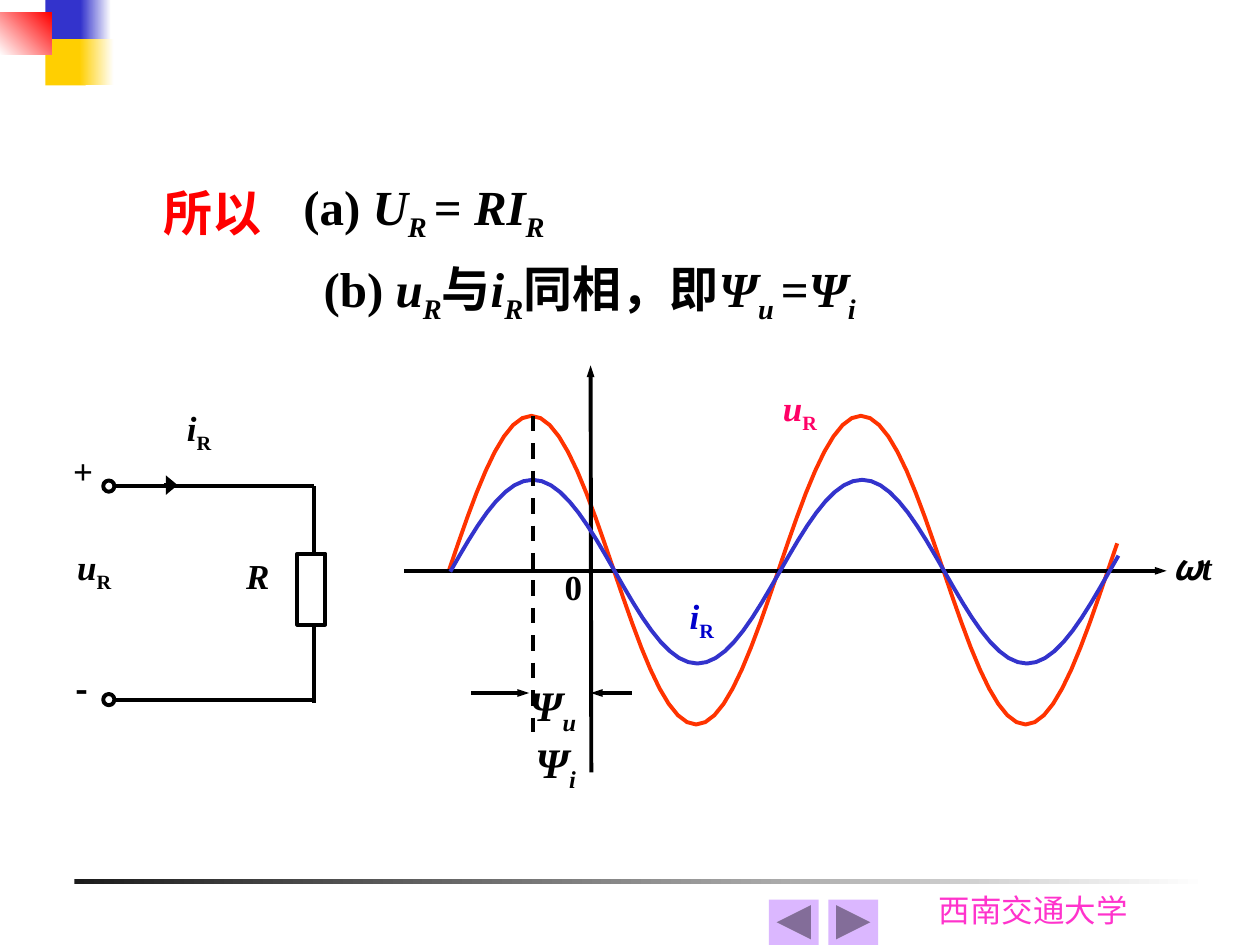
import math
from dataclasses import dataclass

from lxml import etree
from pptx import Presentation
from pptx import util as u
from pptx.dml.color import RGBColor
from pptx.enum import dml, shapes, text
from pptx.oxml import ns


@dataclass(frozen=True)
class Theme:
    black: str = "000000"
    white: str = "FFFFFF"
    charcoal: str = "1C1C1C"
    blue: str = "3333CC"
    yellow: str = "FFCF01"
    red: str = "FF0000"
    voltage: str = "FF3300"
    voltage_label: str = "FF0066"
    current_label: str = "0000CC"
    footer: str = "FF33CC"
    button: str = "DBB7FF"
    serif: str = "Times New Roman"
    sans: str = "Lato"
    chinese: str = "Noto Sans CJK SC"
    statement: int = 28
    phase: int = 24
    label: int = 20
    small: int = 18
    stroke: float = 2.25


THEME = Theme()
SHAPE = shapes.MSO_SHAPE
ALIGN = text.PP_ALIGN
ANCHOR = text.MSO_ANCHOR


def rgb(value):
    return RGBColor.from_string(value)


def points(values):
    return [u.Pt(value) for value in values]


def add_text(slide, box, *paragraphs, size=THEME.label, color=THEME.black,
             font=THEME.serif, bold=True, align=ALIGN.CENTER,
             anchor=ANCHOR.TOP, insets=(0.72, 0.72), wrap=True):
    frame = slide.shapes.add_textbox(*points(box)).text_frame
    frame.word_wrap = wrap
    frame.vertical_anchor = anchor
    frame.margin_left = frame.margin_right = u.Pt(insets[0])
    frame.margin_top = frame.margin_bottom = u.Pt(insets[1])
    for index, runs in enumerate(paragraphs):
        paragraph = frame.add_paragraph() if index else frame.paragraphs[0]
        paragraph.alignment = align
        for content, style, *own_font in runs:
            run = paragraph.add_run()
            run.text = content
            run.font.size = u.Pt(size)
            run.font.bold = bold
            run.font.italic = "italic" in style
            run.font.color.rgb = rgb(color)
            run.font.name = own_font[0] if own_font else font
            properties = run.font._element
            etree.SubElement(properties, ns.qn("a:ea"), typeface=THEME.chinese)
            if "sub" in style:
                properties.set("baseline", "-25000")


def add_statement(slide, box, *runs, **options):
    add_text(slide, box, runs, size=THEME.statement, anchor=ANCHOR.MIDDLE,
             insets=(7.2, 3.6), **options)


def add_shape(slide, kind, box, fill, fade_to=None, angle=0, line=None):
    shape = slide.shapes.add_shape(kind, *points(box))
    shape.shadow.inherit = False
    if fade_to:
        shape.fill.gradient()
        shape.fill.gradient_angle = angle
        for stop, color in zip(shape.fill.gradient_stops, (fill, fade_to)):
            stop.color.rgb = rgb(color)
    else:
        shape.fill.solid()
        shape.fill.fore_color.rgb = rgb(fill)
    if line:
        shape.line.color.rgb = rgb(line)
        shape.line.width = u.Pt(THEME.stroke)
    else:
        shape.line.fill.background()


def add_line(slide, start, end, arrow=None, arrow_width="sm", dashed=False):
    connector = slide.shapes.add_connector(
        shapes.MSO_CONNECTOR.STRAIGHT, *points(start + end))
    connector.line.color.rgb = rgb(THEME.black)
    connector.line.width = u.Pt(THEME.stroke)
    if dashed:
        connector.line.dash_style = dml.MSO_LINE.DASH
    if arrow:
        etree.SubElement(connector.line._get_or_add_ln(), ns.qn(f"a:{arrow}"),
                         type="triangle", w=arrow_width, len="med")
    etree.SubElement(connector._element.spPr, ns.qn("a:effectLst"))


def add_sine(slide, left, middle, amplitude, color):
    step = 5.23
    curve = [points((left + step * index,
                     middle - amplitude * math.sin(math.radians(10 * index))))
             for index in range(74)]
    builder = slide.shapes.build_freeform(*curve[0])
    builder.add_line_segments(curve[1:], close=False)
    shape = builder.convert_to_shape()
    shape.shadow.inherit = False
    shape.fill.background()
    shape.line.color.rgb = rgb(color)
    shape.line.width = u.Pt(THEME.stroke)


def add_decoration(slide):
    rectangle = SHAPE.RECTANGLE
    add_shape(slide, rectangle, (42.5, 502.5, 648, 2.5), THEME.charcoal, THEME.white)
    for top, color, left, width in ((0, THEME.blue, 46, 17.5),
                                    (22.3, THEME.yellow, 45.5, 19.5)):
        add_shape(slide, rectangle, (26, top, 23, 26.5), color)
        add_shape(slide, rectangle, (left, top, width, 26.5), color, THEME.white)
    add_shape(slide, rectangle, (0, 7.4, 29.5, 24), THEME.white, THEME.red, 45)
    add_text(slide, (529.2, 505.4, 130.3, 28.8), [("西南交通大学", "")],
             size=THEME.small, color=THEME.footer, font=THEME.sans, bold=False,
             align=ALIGN.LEFT, insets=(7.2, 3.6))
    for left, kind in ((439.4, SHAPE.ACTION_BUTTON_BACK_OR_PREVIOUS),
                       (473.4, SHAPE.ACTION_BUTTON_FORWARD_OR_NEXT)):
        add_shape(slide, kind, (left, 514, 28.4, 26), THEME.button)


def add_statements(slide):
    add_statement(slide, (76.3, 100.8, 90.7, 41), ("所以", ""), color=THEME.red)
    add_statement(slide, (139, 144, 396, 45.4),
                  ("(b) ", ""), ("u", "italic"), ("R", "italic sub"), ("与", ""),
                  ("i", "italic"), ("R", "italic sub"), ("同相，即", ""),
                  ("Ψ", "italic"), ("u ", "italic sub"), ("=", ""),
                  ("Ψ", "italic"), ("i", "italic sub"))
    add_statement(slide, (162.7, 97.2, 159.1, 45.4),
                  ("(a) ", ""), ("U", "italic"), ("R ", "italic sub"), ("= ", ""),
                  ("RI", "italic"), ("R", "italic sub"), wrap=False)


def add_circuit(slide):
    top, bottom, right = 277.8, 399.8, 179.2
    for wire in (top, bottom):
        add_line(slide, (65, wire), (right, wire))
        add_shape(slide, SHAPE.OVAL, (59, wire - 3.2, 6.4, 6.4), THEME.white,
                  line=THEME.black)
    add_line(slide, (right, top), (right, 401.8))
    add_line(slide, (93.6, 277.2), (101.5, 277.2), "tailEnd", "lg")
    add_shape(slide, SHAPE.RECTANGLE, (170, 316.4, 16, 40.5), THEME.white,
              line=THEME.black)
    add_text(slide, (23.8, 256.3, 47.5, 46.8), [("+", "")])
    add_text(slide, (43.2, 381.6, 25.9, 38.2), [("-", "")], font=THEME.chinese,
             align=ALIGN.JUSTIFY, insets=(0, 0))
    add_text(slide, (131.8, 316.1, 31, 44.6), [("R", "italic")])


def add_waveforms(slide):
    add_sine(slide, 256.6, 325.8, 88.2, THEME.voltage)
    add_line(slide, (231.1, 326.2), (666.7, 326.2), "tailEnd")
    add_line(slide, (337.5, 208.8), (337.9, 441.4), "headEnd")
    add_line(slide, (269.3, 396), (302.4, 396), "tailEnd")
    add_line(slide, (337.7, 396), (361.4, 396), "headEnd")
    add_sine(slide, 257.3, 326.7, 52.5, THEME.blue)
    add_line(slide, (304.6, 237.6), (304.6, 418.3), dashed=True)
    add_text(slide, (303.1, 322.6, 49, 41.8), [("0", "")])
    add_text(slide, (657.4, 311, 47.5, 41.8),
             [("ω", "italic", THEME.chinese), ("t", "italic")])
    add_text(slide, (275, 384.5, 85, 72.7),
             [("Ψ", "italic"), ("u ", "italic sub")],
             [("Ψ", "italic"), ("i", "italic sub")],
             size=THEME.phase, insets=(7.2, 3.6))


def add_quantity_labels(slide):
    for name, left, top, color in (("u", 30.2, 311, THEME.black),
                                   ("i", 90, 231.8, THEME.black),
                                   ("u", 433.4, 220.3, THEME.voltage_label),
                                   ("i", 377.3, 339.1, THEME.current_label)):
        add_text(slide, (left, top, 47.5, 54), [(name, "italic"), ("R", "sub")],
                 color=color)


def main():
    presentation = Presentation()
    presentation.slide_width, presentation.slide_height = u.Pt(720), u.Pt(540)
    slide = presentation.slides.add_slide(presentation.slide_layouts[6])
    add_decoration(slide)
    add_circuit(slide)
    add_waveforms(slide)
    add_quantity_labels(slide)
    add_statements(slide)
    presentation.save("out.pptx")


if __name__ == "__main__":
    main()
